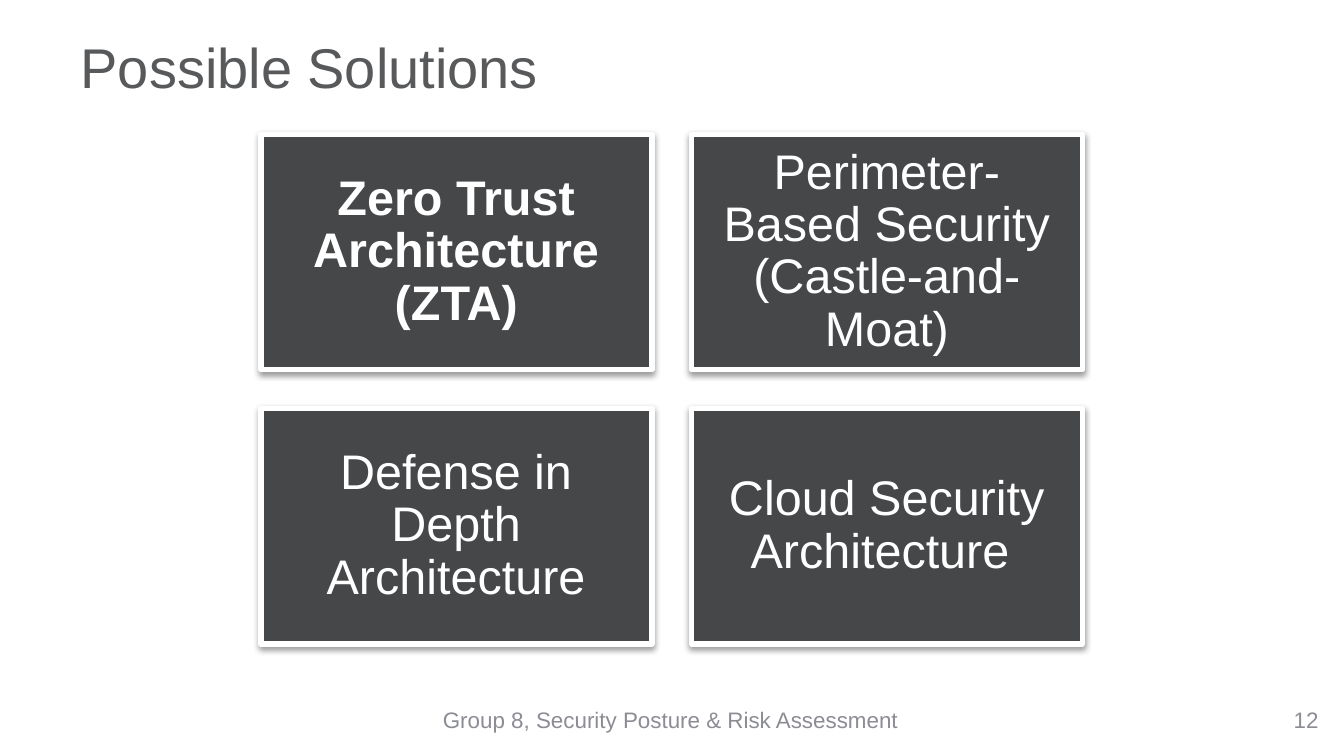
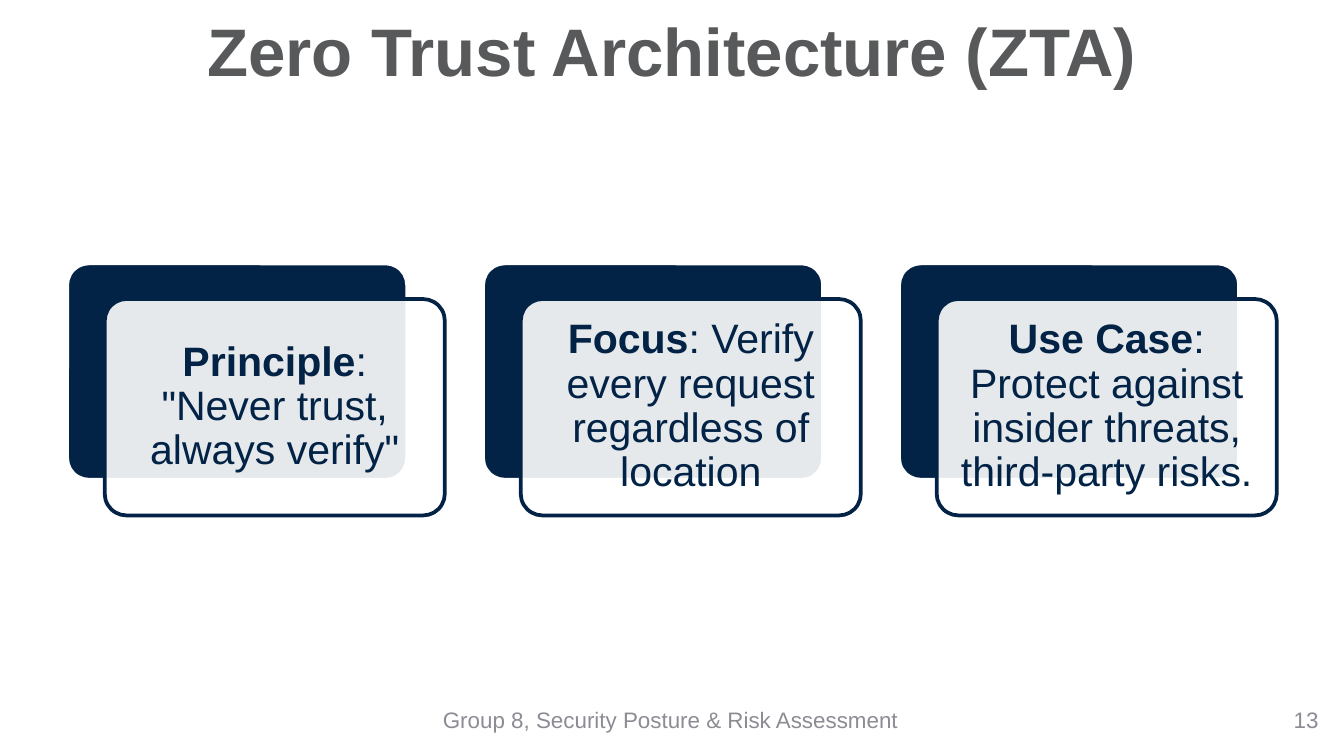
from dataclasses import dataclass

from lxml import etree
from pptx import Presentation
from pptx.dml.color import RGBColor
from pptx.enum.shapes import MSO_SHAPE
from pptx.enum.text import MSO_ANCHOR, MSO_AUTO_SIZE, PP_ALIGN
from pptx.oxml.ns import qn
from pptx.presentation import Presentation as Deck
from pptx.shapes.autoshape import Shape
from pptx.slide import Slide
from pptx.text.text import TextFrame
from pptx.util import Emu, Pt

RECT = MSO_SHAPE.RECTANGLE
ROUND = MSO_SHAPE.ROUNDED_RECTANGLE
MIDDLE = MSO_ANCHOR.MIDDLE
NO_FIT = MSO_AUTO_SIZE.NONE
LEFT, CENTER, RIGHT = PP_ALIGN.LEFT, PP_ALIGN.CENTER, PP_ALIGN.RIGHT

EMU_PER_PX = 4572
PAGE_WIDTH, PAGE_HEIGHT = 2000, 1125
TITLE_ONLY = 5
FONT = "Arial"
WHITE = "FFFFFF"
TITLE_GRAY = "58595B"
FOOTER_GRAY = "8C8D94"
TILE_GRAY = "464749"
NAVY = "022345"
FOOTER_TEXT = "Group 8, Security Posture & Risk Assessment"


@dataclass(frozen=True)
class Area:
    left: int
    top: int
    width: int
    height: int

    def shifted(self, right: int, down: int) -> "Area":
        return Area(self.left + right, self.top + down, self.width, self.height)

    def emu(self) -> tuple[Emu, Emu, Emu, Emu]:
        return px(self.left), px(self.top), px(self.width), px(self.height)


@dataclass(frozen=True)
class Span:
    text: str
    bold: bool = False


@dataclass(frozen=True)
class Style:
    size: int
    color: str
    align: PP_ALIGN = CENTER
    inset_x: int = 20
    inset_y: int = 10


@dataclass(frozen=True)
class Card:
    label: str
    detail: str


TITLE_AREA = Area(100, 46, 1800, 118)
FOOTER_AREA = Area(364, 1043, 1268, 60)
NUMBER_AREA = Area(1516, 1043, 466, 60)
FIRST_TILE = Area(388, 200, 582, 350)
TILE_STEP_X, TILE_STEP_Y = 641, 408
FIRST_CARD = Area(100, 392, 506, 322)
CARD_STEP = 619
FRONT_SHIFT_X, FRONT_SHIFT_Y = 56, 53

LEFT_TITLE = Style(30, TITLE_GRAY, LEFT)
CENTER_TITLE = Style(36, TITLE_GRAY)
FOOTER_STYLE = Style(12, FOOTER_GRAY)
NUMBER_STYLE = Style(12, FOOTER_GRAY, RIGHT)
TILE_STYLE = Style(26, WHITE, CENTER, 22, 22)
CARD_STYLE = Style(22, NAVY, CENTER, 23, 18)

SOLUTIONS = [
    Span("Zero Trust Architecture (ZTA)", True),
    Span("Perimeter-Based Security (Castle-and-Moat)"),
    Span("Defense in Depth Architecture"),
    Span("Cloud Security Architecture "),
]
CARDS = [
    Card("Principle", ': "Never trust, always verify"'),
    Card("Focus", ": Verify every request regardless of location"),
    Card("Use Case", ": Protect against insider threats, third-party risks. "),
]


def px(value: int) -> Emu:
    return Emu(value * EMU_PER_PX)


def rgb(color: str) -> RGBColor:
    return RGBColor.from_string(color)


def write(frame: TextFrame, spans: list[Span], style: Style) -> None:
    frame.word_wrap = True
    frame.auto_size = NO_FIT
    frame.vertical_anchor = MIDDLE
    frame.margin_left = frame.margin_right = px(style.inset_x)
    frame.margin_top = frame.margin_bottom = px(style.inset_y)
    para = frame.paragraphs[0]
    para.alignment = style.align
    para.line_spacing = 0.9
    for span in spans:
        run = para.add_run()
        run.text = span.text
        run.font.name = FONT
        run.font.size = Pt(style.size)
        run.font.bold = span.bold
        run.font.color.rgb = rgb(style.color)


def add_text(page: Slide, area: Area, text: str, style: Style) -> None:
    box = page.shapes.add_textbox(*area.emu())
    write(box.text_frame, [Span(text)], style)


def add_block(page: Slide, kind: MSO_SHAPE, area: Area, fill: str, line: str, weight: int) -> Shape:
    block = page.shapes.add_shape(kind, *area.emu())
    block.shadow.inherit = False
    block.fill.solid()
    block.fill.fore_color.rgb = rgb(fill)
    block.line.color.rgb = rgb(line)
    block.line.width = Pt(weight)
    if kind == ROUND:
        block.adjustments[0] = 0.1
    return block


def set_alpha(color: etree._Element, percent: int) -> None:
    etree.SubElement(color, qn("a:alpha"), val=str(percent * 1000))


def add_shadow(block: Shape) -> None:
    effects = block._element.spPr.find(qn("a:effectLst"))
    shadow = etree.SubElement(
        effects, qn("a:outerShdw"), blurRad="40000", dist="20000", dir="5400000", rotWithShape="0"
    )
    set_alpha(etree.SubElement(shadow, qn("a:srgbClr"), val="000000"), 38)


def add_page(deck: Deck, title: Span, style: Style, number: int) -> Slide:
    page = deck.slides.add_slide(deck.slide_layouts[TITLE_ONLY])
    heading = page.shapes.title
    heading.left, heading.top, heading.width, heading.height = TITLE_AREA.emu()
    write(heading.text_frame, [title], style)
    add_text(page, FOOTER_AREA, FOOTER_TEXT, FOOTER_STYLE)
    add_text(page, NUMBER_AREA, str(number), NUMBER_STYLE)
    return page


def add_tile(page: Slide, area: Area, span: Span) -> None:
    tile = add_block(page, RECT, area, TILE_GRAY, WHITE, 3)
    add_shadow(tile)
    write(tile.text_frame, [span], TILE_STYLE)


def add_card(page: Slide, area: Area, card: Card) -> None:
    add_block(page, ROUND, area, NAVY, WHITE, 2)
    front_area = area.shifted(FRONT_SHIFT_X, FRONT_SHIFT_Y)
    front = add_block(page, ROUND, front_area, WHITE, NAVY, 2)
    set_alpha(front._element.spPr.find(qn("a:solidFill"))[0], 90)
    write(front.text_frame, [Span(card.label, True), Span(card.detail)], CARD_STYLE)


def build_solutions(deck: Deck) -> None:
    page = add_page(deck, Span("Possible Solutions"), LEFT_TITLE, 12)
    for index, solution in enumerate(SOLUTIONS):
        row, column = divmod(index, 2)
        add_tile(page, FIRST_TILE.shifted(column * TILE_STEP_X, row * TILE_STEP_Y), solution)


def build_zero_trust(deck: Deck) -> None:
    page = add_page(deck, Span("Zero Trust Architecture (ZTA)", True), CENTER_TITLE, 13)
    para = page.shapes.title.text_frame.paragraphs[0]
    para.add_line_break()
    etree.SubElement(para._p[-1], qn("a:rPr"), sz="1400")
    etree.SubElement(para._p, qn("a:endParaRPr"), sz="1400")
    for index, card in enumerate(CARDS):
        add_card(page, FIRST_CARD.shifted(index * CARD_STEP, 0), card)


def main() -> None:
    deck = Presentation()
    deck.slide_width, deck.slide_height = px(PAGE_WIDTH), px(PAGE_HEIGHT)
    build_solutions(deck)
    build_zero_trust(deck)
    deck.save("out.pptx")


if __name__ == "__main__":
    main()
